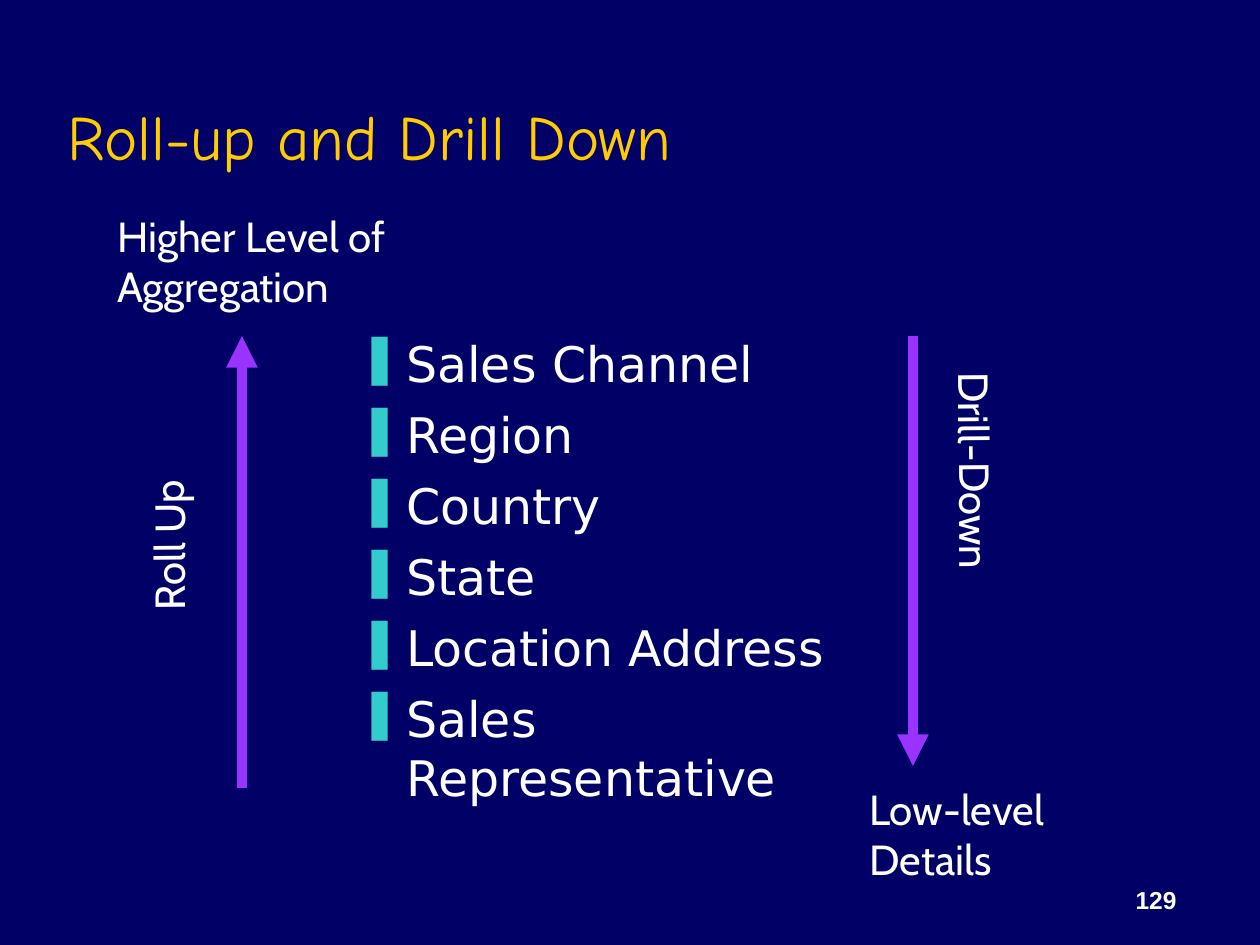
from typing import NamedTuple

from lxml import etree
from pptx import Presentation
from pptx.dml.color import RGBColor
from pptx.enum.shapes import MSO_CONNECTOR
from pptx.enum.text import MSO_ANCHOR, MSO_AUTO_SIZE, PP_ALIGN
from pptx.oxml.ns import qn
from pptx.util import Emu, Pt

STRAIGHT = MSO_CONNECTOR.STRAIGHT
TOP, BOTTOM = MSO_ANCHOR.TOP, MSO_ANCHOR.BOTTOM
LEFT, RIGHT = PP_ALIGN.LEFT, PP_ALIGN.RIGHT
NO_FIT, FIT_SHAPE = MSO_AUTO_SIZE.NONE, MSO_AUTO_SIZE.SHAPE_TO_FIT_TEXT

NAVY, WHITE, GOLD = "000066", "FFFFFF", "FFCC00"
PURPLE, TEAL = "9933FF", "33CCCC"
BULLET_INDENT = 47


class Label(NamedTuple):
    lines: list[str]
    box: tuple[int, int, int, int]
    rotation: float = 0


class Arrow(NamedTuple):
    x: int
    start_y: int
    end_y: int


LEVELS = ["Sales Channel", "Region", "Country", "State",
          "Location Address", "Sales Representative"]
LABELS = [
    Label(["Roll Up"], (86, 509, 165, 63), 269.5),
    Label(["Higher Level of", "Aggregation"], (105, 204, 323, 113)),
    Label(["Low-level", "Details"], (857, 777, 209, 113)),
    Label(["Drill-Down"], (859, 445, 234, 63), 89.5),
]
ARROWS = [Arrow(242, 788, 336), Arrow(913, 336, 766)]


def px(n: int) -> Emu:
    return Emu(round(n * 914400 / 126))


def color(value: str) -> RGBColor:
    return RGBColor.from_string(value)


def add_bullet(p, char: str, fill: str) -> None:
    """Give the paragraph a hanging indent and a coloured bullet."""
    pPr = p._p.get_or_add_pPr()
    indent = px(BULLET_INDENT)
    pPr.set("marL", str(indent))
    pPr.set("indent", str(-indent))
    bu_clr = etree.SubElement(pPr, qn("a:buClr"))
    etree.SubElement(bu_clr, qn("a:srgbClr"), val=fill)
    etree.SubElement(pPr, qn("a:buChar"), char=char)


def add_text(s, lines: list[str], box: tuple[int, int, int, int], *,
             font: str, size: int, fill: str = WHITE, bold: bool = False,
             align=LEFT, anchor=TOP, wrap: bool = True, fit=NO_FIT,
             rotation: float = 0, gap: int = 0, bullet: str = "") -> None:
    sp = s.shapes.add_textbox(*map(px, box))
    sp.rotation = rotation
    tf = sp.text_frame
    tf.word_wrap = wrap
    tf.auto_size = fit
    tf.vertical_anchor = anchor
    for i, line in enumerate(lines):
        p = tf.paragraphs[0] if i == 0 else tf.add_paragraph()
        p.alignment = align
        if i and gap:
            p.space_before = Pt(gap)
        if bullet:
            add_bullet(p, bullet, TEAL)
        r = p.add_run()
        r.text = line
        r.font.name = font
        r.font.size = Pt(size)
        r.font.bold = bold
        r.font.color.rgb = color(fill)


def add_arrow(s, arrow: Arrow) -> None:
    x = px(arrow.x)
    line = s.shapes.add_connector(STRAIGHT, x, px(arrow.start_y), x, px(arrow.end_y))
    line.line.color.rgb = color(PURPLE)
    line.line.width = Pt(6)
    spPr = line._element.spPr
    etree.SubElement(spPr.find(qn("a:ln")), qn("a:tailEnd"), type="triangle")
    etree.SubElement(spPr, qn("a:effectLst"))


def main() -> None:
    prs = Presentation()
    prs.slide_width, prs.slide_height = px(1260), px(945)
    s = prs.slides.add_slide(prs.slide_layouts[6])
    s.background.fill.solid()
    s.background.fill.fore_color.rgb = color(NAVY)

    add_text(s, ["129"], (927, 858, 262, 63), font="Arial", size=14,
             bold=True, align=RIGHT, anchor=BOTTOM)
    add_text(s, ["Roll-up and Drill Down"], (55, 32, 1071, 147),
             font="Comic Neue", size=36, fill=GOLD, anchor=BOTTOM)
    add_text(s, LEVELS, (347, 327, 553, 501), font="DejaVu Sans", size=28,
             gap=7, bullet="❚")
    for arrow in ARROWS:
        add_arrow(s, arrow)
    for label in LABELS:
        add_text(s, label.lines, label.box, font="Cabin", size=24,
                 wrap=False, fit=FIT_SHAPE, rotation=label.rotation)
    prs.save("out.pptx")


if __name__ == "__main__":
    main()
